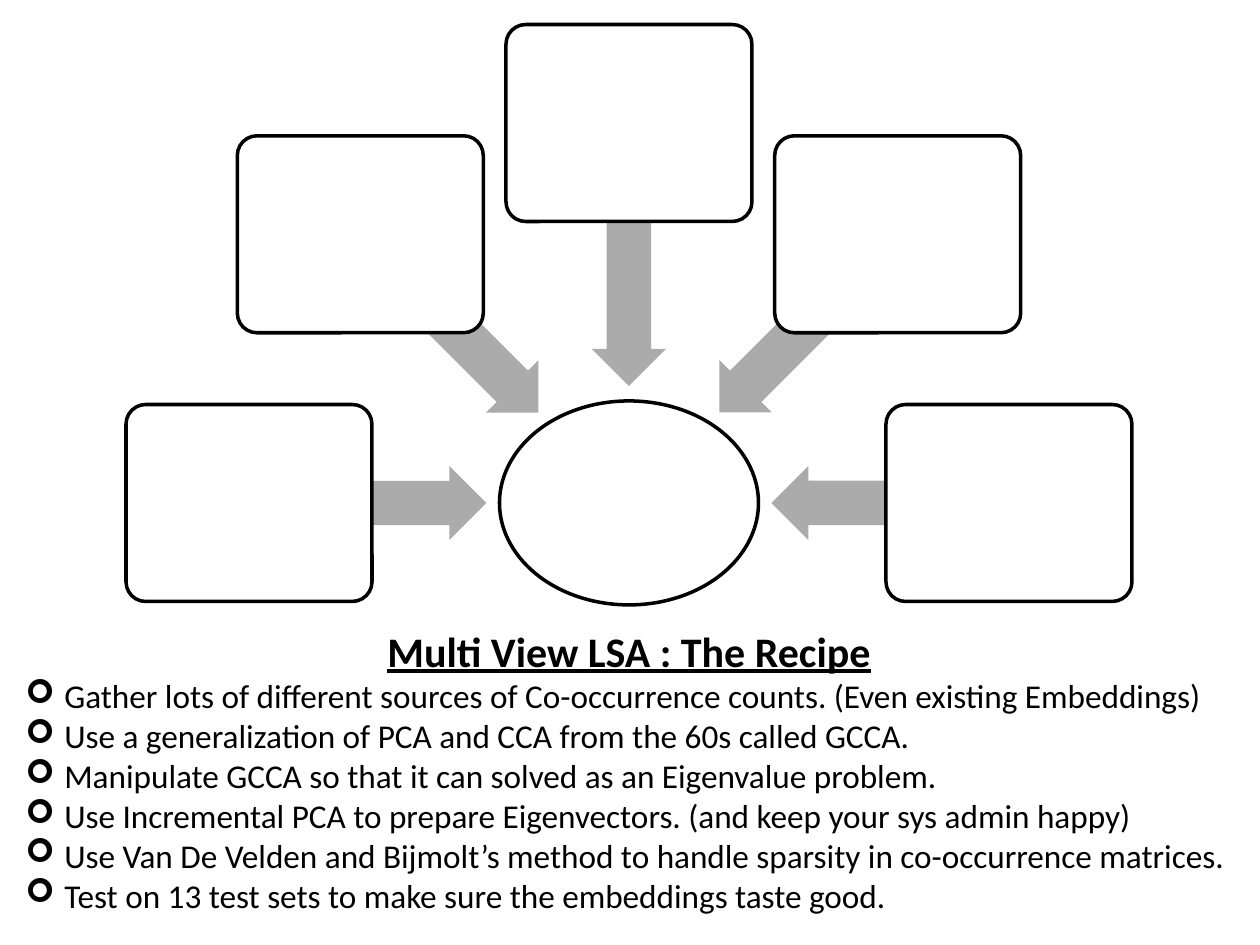
from math import cos, radians, sin

from lxml.etree import SubElement
from pptx import Presentation
from pptx.dml.color import RGBColor
from pptx.enum.shapes import MSO_SHAPE
from pptx.enum.text import MSO_AUTO_SIZE, PP_ALIGN
from pptx.oxml.ns import qn
from pptx.util import Emu, Pt

PX = 914400 // 126
FONT = "Calibri"
BLACK, WHITE, GREY = "000000", "FFFFFF", "ABABAB"
HUB = (629, 503)
BOX_RADIUS = 380
# angle: (distance of the arrow's centre from the hub, arrow length)
SPOKES = {180: (261, 237), 225: (254, 252), 270: (248, 262),
          315: (254, 252), 360: (261, 237)}
TITLE = "Multi View LSA : The Recipe"
STEPS = [
    "Gather lots of different sources of Co-occurrence counts. (Even existing Embeddings)",
    "Use a generalization of PCA and CCA from the 60s called GCCA.",
    "Manipulate GCCA so that it can solved as an Eigenvalue problem.",
    "Use Incremental PCA to prepare Eigenvectors. (and keep your sys admin happy)",
    "Use Van De Velden and Bijmolt’s method to handle sparsity in co-occurrence matrices.",
    "Test on 13 test sets to make sure the embeddings taste good.",
]


def px(n):
    """Turn pixels into EMU."""
    return Emu(round(n * PX))


def color(code):
    """Turn a hex string into a colour."""
    return RGBColor.from_string(code)


def around_hub(angle, radius):
    """Return the point at an angle and distance from the hub."""
    a = radians(angle)
    return HUB[0] + radius * cos(a), HUB[1] + radius * sin(a)


class Canvas:
    """Draws styled elements on one slide."""

    def __init__(self, slide):
        """Keep the current slide."""
        self.s = slide

    def shape(self, kind, center, w, h, fill, line=None, adj=(), rot=0):
        """Add a preset shape around its centre."""
        x, y = center
        sp = self.s.shapes.add_shape(kind, px(x - w / 2), px(y - h / 2), px(w), px(h))
        sp.shadow.inherit = False
        sp.rotation = rot
        for i, value in enumerate(adj):
            sp.adjustments[i] = value
        sp.fill.solid()
        sp.fill.fore_color.rgb = color(fill)
        if line:
            sp.line.color.rgb = color(line)
            sp.line.width = Pt(2)
        else:
            sp.line.fill.background()

    def recipe(self, x, y, w, h, title, steps):
        """Add a text box with a heading and bulleted steps."""
        tf = self.s.shapes.add_textbox(px(x), px(y), px(w), px(h)).text_frame
        tf.word_wrap = True
        tf.auto_size = MSO_AUTO_SIZE.SHAPE_TO_FIT_TEXT
        tf.text = "\n".join([title, *steps])
        heading, *items = tf.paragraphs
        heading.alignment = PP_ALIGN.CENTER
        self.style(heading, 24, strong=True)
        for p in items:
            self.style(p, 19)
            self.bullet(p, 39)

    def style(self, p, size, strong=False):
        """Format the runs of a paragraph."""
        for r in p.runs:
            r.font.name = FONT
            r.font.size = Pt(size)
            r.font.bold = r.font.underline = strong
            r.font.color.rgb = color(BLACK)

    def bullet(self, p, indent):
        """Give a paragraph an arrowhead bullet and hanging indent."""
        pPr = p._p.get_or_add_pPr()
        pPr.set("marL", str(px(indent)))
        pPr.set("indent", str(-px(indent)))
        SubElement(pPr, qn("a:buFont"), typeface="Wingdings")
        SubElement(pPr, qn("a:buChar"), char="➢")


prs = Presentation()
prs.slide_width, prs.slide_height = px(1260), px(945)
c = Canvas(prs.slides.add_slide(prs.slide_layouts[6]))

c.shape(MSO_SHAPE.OVAL, HUB, 259, 204, WHITE, BLACK)
for angle, (radius, length) in SPOKES.items():
    c.shape(MSO_SHAPE.LEFT_ARROW, around_hub(angle, radius), length, 74, GREY,
            adj=(0.6, 0.5), rot=angle % 360)
    c.shape(MSO_SHAPE.ROUNDED_RECTANGLE, around_hub(angle, BOX_RADIUS), 246, 197,
            WHITE, BLACK, adj=(0.1,))
c.recipe(13, 619, 1232, 305, TITLE, STEPS)

prs.save("out.pptx")
